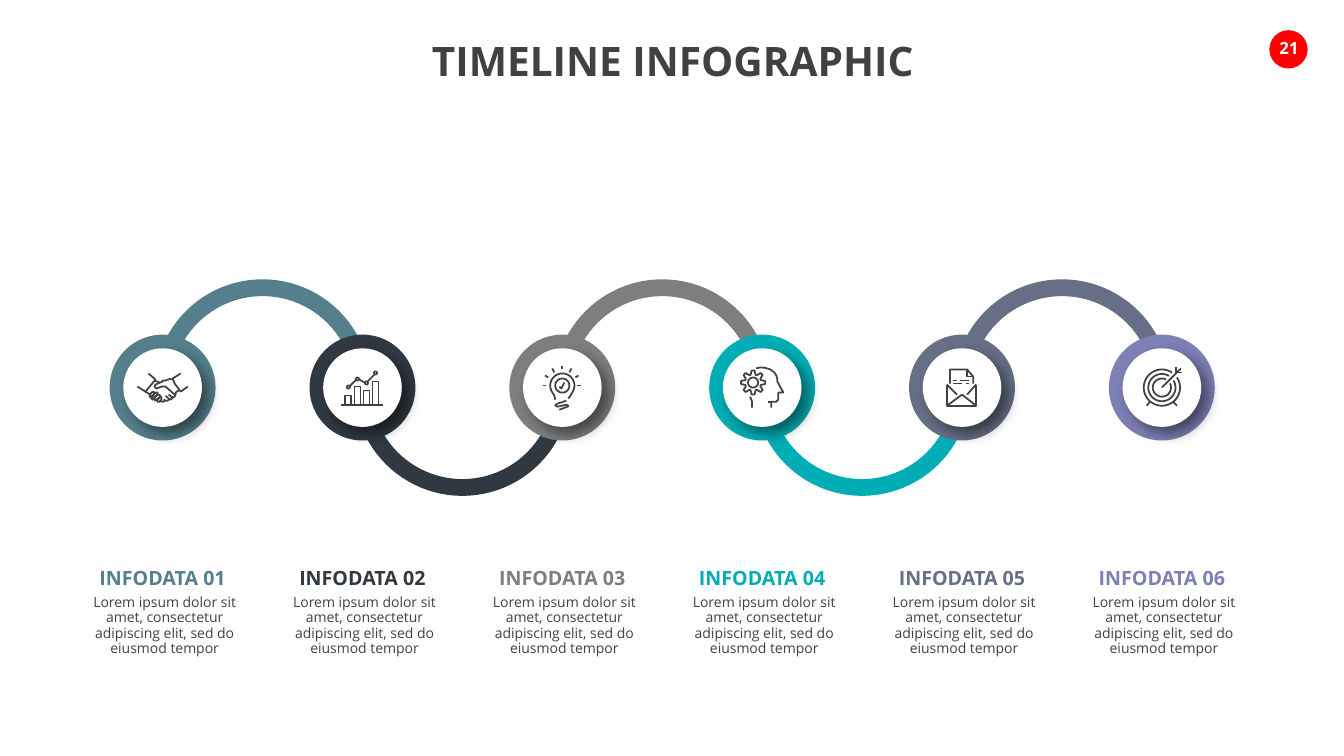
"""Build a six-step timeline slide with a winding ribbon and line icons."""
from dataclasses import dataclass
from math import cos, radians, sin
from typing import Any

from pptx import Presentation
from pptx.dml.color import RGBColor
from pptx.enum.shapes import MSO_SHAPE as Preset
from pptx.enum.text import MSO_ANCHOR as Anchor, MSO_AUTO_SIZE as Fit, PP_ALIGN as Align
from pptx.oxml import parse_xml
from pptx.oxml.ns import nsdecls, qn
from pptx.util import Emu, Inches, Pt

Stroke = list[tuple[float, float]]


@dataclass(frozen=True)
class Theme:
    """Hold the colours, font and type sizes of the slide."""
    ink: str = "414042"
    paper: str = "FFFFFF"
    badge: str = "FF0000"
    font: str = "Open Sans"
    title: float = 29
    label: float = 14
    number: float = 12
    body: float = 10
    ribbon: float = 12
    icon: float = 1.25
    leading: float = 0.9


@dataclass(frozen=True)
class Box:
    """Place a box by its centre and size, in percent of the slide."""
    center: float
    middle: float
    width: float
    height: float

    def frame(self) -> dict[str, Emu]:
        """Return the position and size as lengths."""
        return {
            "left": Emu(int(WIDTH * (self.center - self.width / 2) / 100)),
            "top": Emu(int(HEIGHT * (self.middle - self.height / 2) / 100)),
            "width": Emu(int(WIDTH * self.width / 100)),
            "height": Emu(int(HEIGHT * self.height / 100)),
        }


@dataclass(frozen=True)
class Step:
    """Describe one timeline step."""
    color: str
    icon: list[Stroke]


THEME = Theme()
WIDTH, HEIGHT = Inches(13.33), Inches(7.5)
FIRST, COLUMN, MIDDLE = 12.1, 14.87, 51.27
UNIT = Inches(0.01)
RADIUS = COLUMN / 200 * WIDTH / UNIT
BODY = "Lorem ipsum dolor sit amet, consectetur adipiscing elit, sed do eiusmod tempor"


def ring(x: float, y: float, radius: float, start: float = 0, end: float = 360) -> Stroke:
    """Return points along a clockwise arc."""
    angles = [radians(start + (end - start) * part / 48) for part in range(49)]
    return [(x + radius * cos(angle), y + radius * sin(angle)) for angle in angles]


def trace(text: str) -> list[Stroke]:
    """Read strokes parted by semicolons into lists of points."""
    return [[tuple(map(float, point.split(","))) for point in stroke.split()]
            for stroke in text.split(";")]


def gear(x: float, y: float) -> Stroke:
    """Return the outline of an eight-toothed wheel."""
    profile = ((-18, 8), (-7, 12), (7, 12), (18, 8))
    points = [(x + radius * cos(radians(tooth * 45 + turn)),
               y + radius * sin(radians(tooth * 45 + turn)))
              for tooth in range(8) for turn, radius in profile]
    return points + points[:1]


HANDSHAKE = trace(
    "-25,-1 -17,4 -7,-8 -14,-14; 18,-14 10,-9 12,-4 18,4 25,-1;"
    "11,-8 7,-8.5 3,-7 0,-7 0,-6 -7,-3 -8,-1 -6,1 -1,-1 3,-1 12,7;"
    "17,2 14,4 12,7; -17,4 -12,7; -3,-5 -8,-7; 6,7 10,10 12,9 13,7 12,7;"
    "3,8 6,11 8,12 9,11 10,10 9,9; 1,12 3,13 5,13 6,12 6,11; -2,13 -1,14 1,14 2,13 3,13;"
    "-12,10 -13,8 -11,5 -9,4 -8,6 -10,9 -12,10;"
    "-9,11 -5,7 -5,5 -7,5 -11,9 -11,11 -10,12 -9,11;"
    "-6,12 -2,9 -3,7 -5,7 -8,10 -8,12 -7,13 -6,12; -1,12 -1,10 -2,9 -5,12 -5,14 -3,14 -1,12")
GROWTH = trace("20,17 -21,17; 5,-6 12,-13; -3,-8 2,-5; -6,-8 -13,-1")
for bar, (bar_top, dot) in enumerate(((8, -0.5), (-1, -8.5), (3, -4.5), (-6, -14.5))):
    edge = bar * 9 - 17
    GROWTH += [[(edge, 17), (edge, bar_top), (edge + 6, bar_top), (edge + 6, 17)],
               ring(edge + 3, dot, 1.5)]
BULB = [
    [(-7, 12), (-8, 8), *ring(0, -2, 12, 150, 390), (8, 8), (6, 11)],
    ring(0, -2, 7),
    *trace("-3,-1 -1,1 2,-5; 0,-18 0,-21; -8,-15 -10,-19; -17,-12 -14,-10; -19,-2 -16,-2;"
           "9,-19 7,-15; 16,-12 13,-10; 15,-2 19,-2;"
           "4,13 -5,16 -7,17.5 -5,19 4,17 6,18 5,19 -3,22")]
THINKER = [
    gear(-9, -5), ring(-9, -5, 5),
    *trace("-6,-19 -2,-20 3,-19.5 8,-18 12,-15 14,-12 15,-9 15,-6 21,5 16,5 16,12 14,14 9,14 9,20;"
           "-10,20 -10,14 -12,9; 9,14 6,14")]
LETTER = trace(
    "14,-3 14,18 -15,18 -15,-3; 14,18 0,7 -15,18; 14,-3 5,7; -15,-3 -5,7;"
    "11,-4 11,-11 5,-18 -12,-18 -12,-4; 5,-18 5,-11 11,-11; -5,-7 -9,-7; 7,-7 -2,-7;"
    "-9,-4 0,-4; 7,-4 4,-4")
TARGET = [
    ring(0, 0, 18, -34, 304), ring(0, 0, 13.5, -31, 301), ring(0, 0, 9, -27, 297),
    *trace("0,0 19,-19; 14,-20 14,-15 20,-15; -15,18 -12,14; 11,14 15,18")]
STEPS = (Step("557F8C", HANDSHAKE), Step("303841", GROWTH), Step("7C7E80", BULB),
         Step("00ADB5", THINKER), Step("666F85", LETTER), Step("7D80B5", TARGET))


def assign(target: Any, values: dict[str, Any]) -> None:
    """Set every named value on the target."""
    for name, value in values.items():
        setattr(target, name, value)


def draw_strokes(page: Any, strokes: list[Stroke], center: float, color: str, weight: float) -> None:
    """Draw strokes around a centre on the timeline as one open outline."""
    scaled = [[(x * UNIT, y * UNIT) for x, y in stroke] for stroke in strokes]
    builder = page.shapes.build_freeform(*scaled[0][0], scale=1.0)
    for index, stroke in enumerate(scaled):
        if index:
            builder.move_to(*stroke[0])
        builder.add_line_segments(stroke[1:], close=False)
    shape = builder.convert_to_shape(Emu(int(WIDTH * center / 100)), Emu(int(HEIGHT * MIDDLE / 100)))
    shape.fill.background()
    shape.shadow.inherit = False
    shape.line.color.rgb = RGBColor.from_string(color)
    shape.line.width = Pt(weight)


def draw_disc(shapes: Any, box: Box, color: str, raised: bool = False) -> None:
    """Draw a filled circle, with a soft shadow when raised."""
    disc = shapes.add_shape(Preset.OVAL, **box.frame())
    disc.fill.solid()
    disc.fill.fore_color.rgb = RGBColor.from_string(color)
    disc.line.fill.background()
    disc.shadow.inherit = False
    if raised:
        disc._element.spPr.find(qn("a:effectLst")).append(parse_xml(
            f'<a:outerShdw {nsdecls("a")} blurRad="{Pt(10)}" dist="{Pt(7)}" dir="2700000" '
            'algn="tl" rotWithShape="0"><a:srgbClr val="000000"><a:alpha val="45000"/>'
            '</a:srgbClr></a:outerShdw>'))


def write(holder: Any, text: str, size: float, color: str, bold: bool = True,
          wrap: bool = False, inset: bool = False) -> None:
    """Fill a box or placeholder with one centred paragraph."""
    across, down = (Inches(0.1), Inches(0.05)) if inset else (0, 0)
    assign(holder.text_frame, {
        "text": text, "word_wrap": wrap, "auto_size": Fit.SHAPE_TO_FIT_TEXT,
        "vertical_anchor": Anchor.TOP, "margin_left": across, "margin_right": across,
        "margin_top": down, "margin_bottom": down})
    para = holder.text_frame.paragraphs[0]
    assign(para, {"alignment": Align.CENTER, "line_spacing": THEME.leading})
    span = para.runs[0]
    assign(span.font, {"name": THEME.font, "size": Pt(size), "bold": bold})
    span.font.color.rgb = RGBColor.from_string(color)


def main() -> None:
    """Build and save the deck."""
    deck = Presentation()
    assign(deck, {"slide_width": WIDTH, "slide_height": HEIGHT})
    page = deck.slides.add_slide(deck.slide_layouts[5])
    title = page.shapes.title
    assign(title, Box(50.08, 8.73, 36.23, 6.53).frame())
    write(title, "TIMELINE INFOGRAPHIC", THEME.title, THEME.ink)
    draw_disc(page.shapes, Box(95.87, 6.53, 2.85, 5.07), THEME.badge)
    number = page.shapes.add_textbox(**Box(95.91, 6.67, 3.23, 4).frame())
    write(number, "21", THEME.number, THEME.paper, inset=True)

    centers = [FIRST + COLUMN * index for index in range(len(STEPS))]
    for index, step in enumerate(STEPS[:-1]):
        start = 0 if index % 2 else 180
        arc = ring(0, 0, RADIUS, start, start + 180)
        draw_strokes(page, [arc], centers[index] + COLUMN / 2, step.color, THEME.ribbon)
    for index, (center, step) in enumerate(zip(centers, STEPS), start=1):
        node = page.shapes.add_group_shape()
        draw_disc(node.shapes, Box(center, MIDDLE, 7.88, 14), step.color)
        draw_disc(node.shapes, Box(center, MIDDLE, 5.85, 10.4), THEME.paper, raised=True)
        draw_strokes(page, step.icon, center, THEME.ink, THEME.icon)
        label = page.shapes.add_textbox(**Box(center, 76.8, 9.45, 3.2).frame())
        write(label, f"INFODATA {index:02}", THEME.label, step.color)
        body = page.shapes.add_textbox(**Box(center + 0.15, 83.27, 12.68, 10.27).frame())
        write(body, BODY, THEME.body, THEME.ink, bold=False, wrap=True, inset=True)
    deck.save("out.pptx")


if __name__ == "__main__":
    main()
